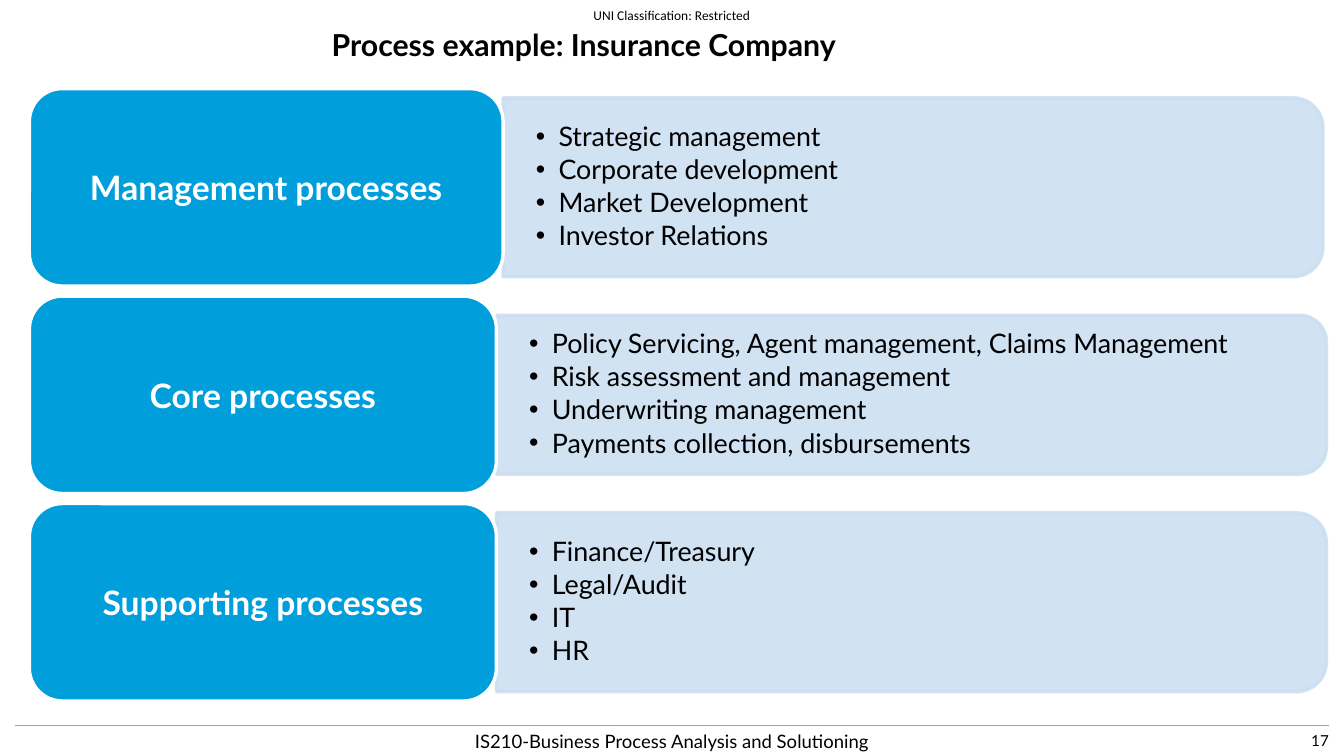
from dataclasses import dataclass

from lxml.etree import SubElement
from pptx import Presentation
from pptx.dml.color import RGBColor
from pptx.enum.shapes import MSO_CONNECTOR, MSO_SHAPE
from pptx.enum.text import MSO_ANCHOR, PP_ALIGN
from pptx.oxml.ns import qn
from pptx.util import Pt


@dataclass(frozen=True)
class Theme:
    font: str = "Lato"
    banner_font: str = "Calibri"
    text: str = "000000"
    label_text: str = "FFFFFF"
    label: str = "009EDB"
    label_border: str = "FFFFFF"
    panel: str = "CCDFF1"
    rule: str = "A0A0A0"
    banner_size: float = 8
    number_size: float = 9
    footer_size: float = 11
    item_size: float = 16
    title_size: float = 18
    label_size: float = 20


class SlideBuilder:
    def __init__(self, slide, theme):
        self.shapes = slide.shapes
        self.theme = theme

    def style(self, paragraph, size, color=None, bold=False, font=None, align=PP_ALIGN.LEFT):
        paragraph.alignment = align
        paragraph.font.name = font or self.theme.font
        paragraph.font.size = Pt(size)
        paragraph.font.bold = bold
        paragraph.font.color.rgb = RGBColor.from_string(color or self.theme.text)

    def frame(self, box, inset_x, inset_y, anchor=MSO_ANCHOR.MIDDLE):
        box.margin_left = box.margin_right = Pt(inset_x)
        box.margin_top = box.margin_bottom = Pt(inset_y)
        box.vertical_anchor = anchor
        box.word_wrap = True
        return box

    def textbox(self, left, top, width, height):
        return self.shapes.add_textbox(Pt(left), Pt(top), Pt(width), Pt(height)).text_frame

    def text(self, words, left, top, width, height, size, anchor=MSO_ANCHOR.MIDDLE, **look):
        box = self.frame(self.textbox(left, top, width, height), 7.2, 3.6, anchor)
        box.text = words
        self.style(box.paragraphs[0], size, **look)

    def block(self, kind, left, top, width, height, fill, border):
        block = self.shapes.add_shape(kind, Pt(left), Pt(top), Pt(width), Pt(height))
        block.shadow.inherit = False
        block.fill.solid()
        block.fill.fore_color.rgb = RGBColor.from_string(fill)
        block.line.color.rgb = RGBColor.from_string(border)
        block.line.width = Pt(2)
        return block

    def label(self, words, left, top, width, height):
        label = self.block(MSO_SHAPE.ROUNDED_RECTANGLE, left, top, width, height,
                           self.theme.label, self.theme.label_border)
        box = self.frame(label.text_frame, 6, 3)
        box.text = words
        self.style(box.paragraphs[0], self.theme.label_size, self.theme.label_text,
                   bold=True, align=PP_ALIGN.CENTER)

    def panel(self, left, top, width, height):
        # Built upright, then turned so that the rounded corners face right
        panel = self.block(MSO_SHAPE.ROUND_2_SAME_RECTANGLE,
                           left + (width - height) / 2, top + (height - width) / 2,
                           height, width, self.theme.panel, self.theme.panel)
        panel.rotation = 90
        for color in panel.element.spPr.iter(qn("a:srgbClr")):
            SubElement(color, qn("a:alpha"), val="90000")

    def bullets(self, items, left, top, width, height):
        box = self.frame(self.textbox(left, top, width, height), 19.5, 10)
        box.text = "\n".join(items)
        for item in box.paragraphs:
            self.style(item, self.theme.item_size)
            item.line_spacing = 0.9
            item.space_after = Pt(2.4)
            properties = item._p.get_or_add_pPr()
            properties.set("marL", str(Pt(13.5)))
            properties.set("indent", str(-Pt(13.5)))
            SubElement(properties, qn("a:buFont"), typeface="Arial")
            SubElement(properties, qn("a:buChar"), char="•")
            # Bullet settings belong before the default run properties
            properties.append(properties.find(qn("a:defRPr")))

    def rule(self, left, right, y):
        rule = self.shapes.add_connector(MSO_CONNECTOR.STRAIGHT, Pt(left), Pt(y), Pt(right), Pt(y))
        rule.line.color.rgb = RGBColor.from_string(self.theme.rule)
        rule.line.width = Pt(0.75)
        SubElement(rule.element.spPr, qn("a:effectLst"))


# Process groups: name, label width, panel width, panel height, items
PROCESSES = [
    ("Management processes", 282, 488, 106.5,
     ["Strategic management", "Corporate development", "Market Development", "Investor Relations"]),
    ("Core processes", 278, 494, 94.5,
     ["Policy Servicing, Agent management, Claims Management", "Risk assessment and management",
      "Underwriting management", "Payments collection, disbursements"]),
    ("Supporting processes", 278, 494, 106.5,
     ["Finance/Treasury", "Legal/Audit", "IT", "HR"]),
]
LABEL_LEFT, FIRST_TOP, ROW_PITCH, LABEL_HEIGHT = 17.5, 52.75, 123.5, 117.5


def main():
    deck = Presentation()
    deck.slide_width, deck.slide_height = Pt(800), Pt(450)
    theme = Theme()
    page = SlideBuilder(deck.slides.add_slide(deck.slide_layouts[6]), theme)

    # Header
    page.text("UNI Classification: Restricted", 331, 0, 138, 18, theme.banner_size,
              font=theme.banner_font, align=PP_ALIGN.CENTER)
    page.text("Process example: Insurance Company", 161, 11.5, 373, 29, theme.title_size,
              anchor=MSO_ANCHOR.BOTTOM, bold=True, align=PP_ALIGN.CENTER)

    # Process rows, each panel centred on its label
    for row, (name, label_width, panel_width, panel_height, items) in enumerate(PROCESSES):
        top = FIRST_TOP + row * ROW_PITCH
        panel_left = LABEL_LEFT + label_width
        panel_top = top + (LABEL_HEIGHT - panel_height) / 2
        page.panel(panel_left, panel_top, panel_width, panel_height)
        page.bullets(items, panel_left, panel_top, panel_width, panel_height)
        page.label(name, LABEL_LEFT, top, label_width, LABEL_HEIGHT)

    # Footer
    page.rule(9, 791, 432)
    page.text("IS210-Business Process Analysis and Solutioning", 218, 429, 364, 24,
              theme.footer_size, align=PP_ALIGN.CENTER)
    page.text("17", 618, 429, 180, 24, theme.number_size, align=PP_ALIGN.RIGHT)

    deck.save("out.pptx")


if __name__ == "__main__":
    main()
